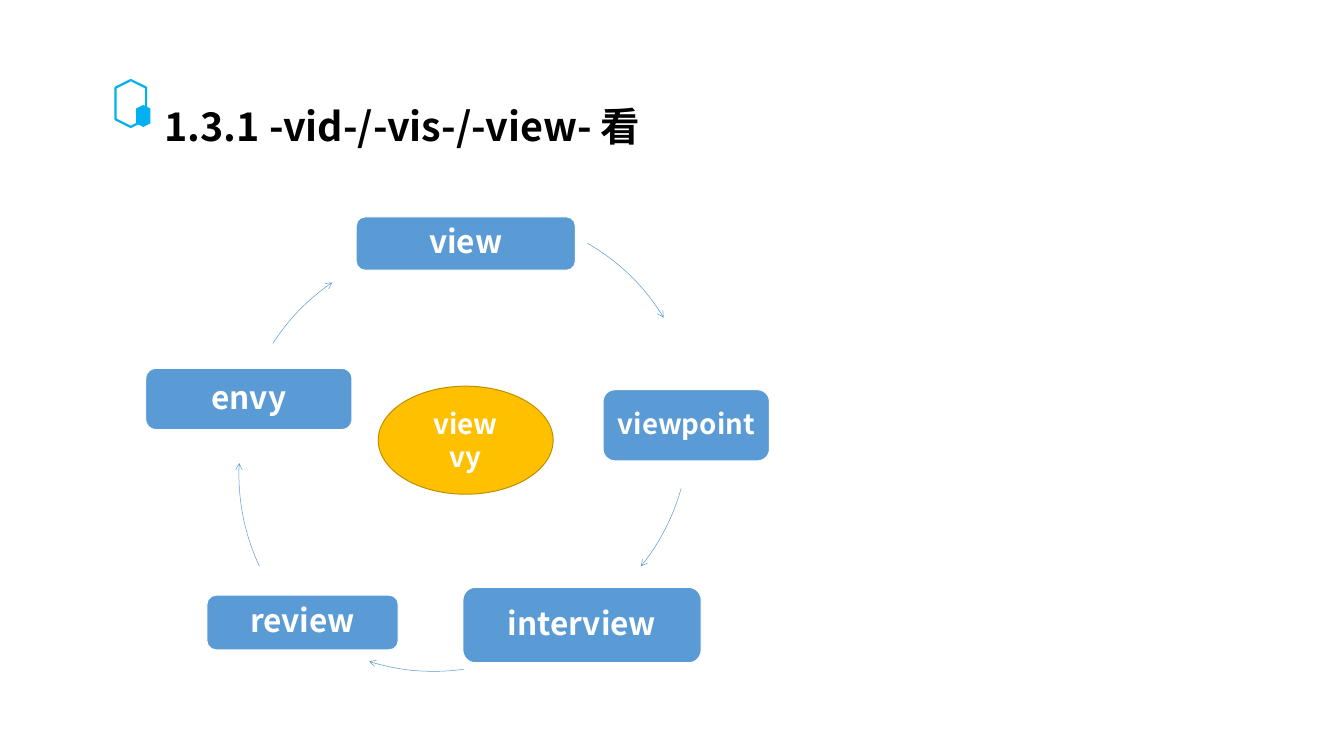
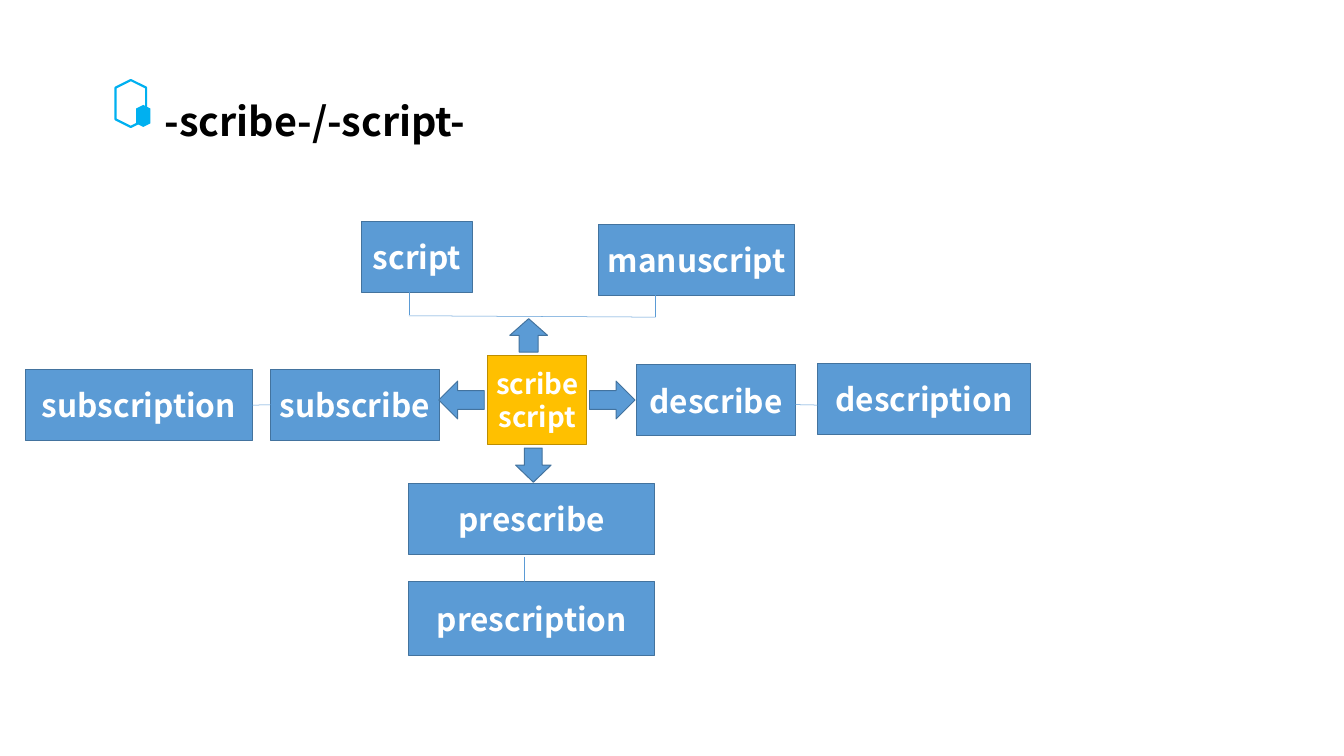
from typing import NamedTuple

from lxml.etree import SubElement
from pptx import Presentation
from pptx.dml.color import RGBColor
from pptx.enum.shapes import MSO_CONNECTOR as Connector, MSO_SHAPE as Preset
from pptx.enum.text import MSO_ANCHOR as Anchor, PP_ALIGN as Align
from pptx.oxml.ns import qn
from pptx.shapes.autoshape import Shape
from pptx.slide import Slide
from pptx.text.text import TextFrame
from pptx.util import Pt

FONT = "Noto Sans CJK SC"
WHITE = RGBColor(0xFF, 0xFF, 0xFF)
BLACK = RGBColor(0x00, 0x00, 0x00)
BLUE = RGBColor(0x5B, 0x9B, 0xD5)
DARK_BLUE = RGBColor(0x43, 0x73, 0x9E)
GOLD = RGBColor(0xFF, 0xC0, 0x00)
DARK_GOLD = RGBColor(0xBD, 0x8E, 0x00)
CYAN = RGBColor(0x00, 0xB0, 0xF0)

CYCLE_DIAMETER = 437.8
BOX_HEIGHT = 72


class Frame(NamedTuple):
    left: float
    top: float
    width: float
    height: float


class WordBox(NamedTuple):
    text: str
    frame: Frame
    size: float = 32


class CycleArrow(NamedTuple):
    """A clockwise arc on the cycle's circle, with angles in degrees."""
    left: float
    top: float
    start: float
    end: float


class BlockArrow(NamedTuple):
    frame: Frame
    rotation: float


class Link(NamedTuple):
    x1: float
    y1: float
    x2: float
    y2: float


CYCLE_WORDS = [
    WordBox("view", Frame(360.7, 219.6, 221.8, 54)),
    WordBox("viewpoint", Frame(610.6, 394.6, 168.5, 72), 28),
    WordBox("interview", Frame(468.7, 594.7, 241.2, 76.3)),
    WordBox("review", Frame(209.5, 602.6, 193.7, 55.4)),
    WordBox("envy", Frame(147.6, 373, 208.8, 61.9)),
]
CYCLE_ARROWS = [
    CycleArrow(266.4, 217, 300, 328.5),
    CycleArrow(259.9, 216.7, 15.6, 39),
    CycleArrow(220.3, 241.9, 81.9, 107.4),
    CycleArrow(241.9, 261.4, 154.9, 183),
    CycleArrow(241.2, 247.7, 212.9, 235.6),
]
VIEW_ROOT = WordBox("view\nvy", Frame(383, 391, 177.1, 109.4), 28)

SCRIBE_WORDS = [
    WordBox("prescription", Frame(414, 589, 249.1, 74.2)),
    WordBox("subscribe", Frame(273.6, 373.7, 171.4, BOX_HEIGHT)),
    WordBox("script", Frame(366.5, 223.9, 111.6, BOX_HEIGHT)),
    WordBox("manuscript", Frame(606.2, 227.5, 198.7, BOX_HEIGHT)),
    WordBox("prescribe", Frame(414, 489.6, 249.1, BOX_HEIGHT)),
    WordBox("description", Frame(828, 367.9, 215.3, BOX_HEIGHT)),
    WordBox("describe", Frame(644.4, 369.4, 161.3, BOX_HEIGHT)),
    WordBox("subscription", Frame(25.9, 374.4, 229.7, BOX_HEIGHT)),
]
SCRIBE_ROOT = WordBox("scribe\nscript", Frame(493.9, 360, 100.1, 90), 28)
SCRIBE_ARROWS = [
    BlockArrow(Frame(596.9, 385.9, 46.1, 38.2), 0),
    BlockArrow(Frame(518.4, 320.4, 33.8, 38.2), 270),
    BlockArrow(Frame(444.2, 385.9, 46.1, 38.2), 180),
    BlockArrow(Frame(522.7, 452.9, 34.6, 36), 90),
]
SCRIBE_LINKS = [
    Link(414, 319.7, 663.8, 321.1),
    Link(414.7, 293.8, 414.7, 319),
    Link(663.8, 295.9, 663.8, 321.1),
    Link(245.5, 410.4, 278.6, 409.7),
    Link(530.6, 563.8, 530.6, 601.2),
    Link(805, 409.7, 843.8, 410.4),
]


def write(text_frame: TextFrame, text: str, *, size: float, color: RGBColor,
          align: Align = Align.CENTER, spacing: float = 1.0) -> None:
    """Fill a text frame with bold text, one paragraph per line."""
    text_frame.word_wrap = True
    for index, line in enumerate(text.split("\n")):
        para = text_frame.add_paragraph() if index else text_frame.paragraphs[0]
        para.alignment = align
        para.line_spacing = spacing
        span = para.add_run()
        span.text = line
        span.font.name = FONT
        span.font.size = Pt(size)
        span.font.bold = True
        span.font.color.rgb = color
        SubElement(span.font._element, qn("a:ea")).set("typeface", FONT)


def add_preset(page: Slide, preset: Preset, frame: Frame, *,
               fill: RGBColor | None = None, line: RGBColor | None = None,
               line_width: float = 1, rotation: float = 0) -> Shape:
    shape = page.shapes.add_shape(preset, *map(Pt, frame))
    shape.shadow.inherit = False
    shape.rotation = rotation
    if fill is None:
        shape.fill.background()
    else:
        shape.fill.solid()
        shape.fill.fore_color.rgb = fill
    if line is None:
        shape.line.fill.background()
    else:
        shape.line.color.rgb = line
        shape.line.width = Pt(line_width)
    return shape


def add_word(page: Slide, word: WordBox, *, preset: Preset = Preset.RECTANGLE,
             fill: RGBColor = BLUE, line: RGBColor = DARK_BLUE,
             spacing: float = 1.0) -> None:
    box = add_preset(page, preset, word.frame, fill=fill, line=line)
    text_frame = box.text_frame
    text_frame.margin_left = text_frame.margin_right = Pt(3.6)
    text_frame.vertical_anchor = Anchor.MIDDLE
    write(text_frame, word.text, size=word.size, color=WHITE, spacing=spacing)


def add_cycle_arrow(page: Slide, arrow: CycleArrow) -> None:
    frame = Frame(arrow.left, arrow.top, CYCLE_DIAMETER, CYCLE_DIAMETER)
    arc = add_preset(page, Preset.ARC, frame, line=BLUE, line_width=0.5)
    # Angles are stored in 1/60000 degree, adjustments in 1/100000.
    arc.adjustments[0] = arrow.start * 0.6
    arc.adjustments[1] = arrow.end * 0.6
    outline = arc.element.spPr.find(qn("a:ln"))
    SubElement(outline, qn("a:tailEnd")).set("type", "arrow")


def add_link(page: Slide, link: Link) -> None:
    connector = page.shapes.add_connector(Connector.STRAIGHT, *map(Pt, link))
    connector.line.color.rgb = BLUE
    connector.line.width = Pt(0.5)
    SubElement(connector.element.spPr, qn("a:effectLst"))


def add_page(deck: Presentation, title: str, title_top: float) -> Slide:
    """Add a blank page with the hexagon mark and the title."""
    page = deck.slides.add_slide(deck.slide_layouts[6])
    add_preset(page, Preset.HEXAGON, Frame(108.7, 89.3, 47.5, 31),
               line=CYAN, line_width=2.25, rotation=90)
    add_preset(page, Preset.HEXAGON, Frame(133.9, 110.2, 22.3, 14.4),
               fill=CYAN, rotation=90)
    box = page.shapes.add_textbox(Pt(159.5), Pt(title_top), Pt(531), Pt(55.4))
    write(box.text_frame, title, size=40, color=BLACK, align=Align.LEFT)
    return page


def build_view_page(deck: Presentation) -> None:
    page = add_page(deck, "1.3.1 -vid-/-vis-/-view- 看", 100)
    for word, arrow in zip(CYCLE_WORDS, CYCLE_ARROWS):
        add_word(page, word, preset=Preset.ROUNDED_RECTANGLE, line=WHITE,
                 spacing=0.9)
        add_cycle_arrow(page, arrow)
    add_word(page, VIEW_ROOT, preset=Preset.FLOWCHART_CONNECTOR,
             fill=GOLD, line=DARK_GOLD)


def build_scribe_page(deck: Presentation) -> None:
    page = add_page(deck, "-scribe-/-script-", 95)
    for word in SCRIBE_WORDS:
        add_word(page, word)
    add_word(page, SCRIBE_ROOT, fill=GOLD, line=DARK_GOLD)
    for arrow in SCRIBE_ARROWS:
        add_preset(page, Preset.RIGHT_ARROW, arrow.frame, fill=BLUE,
                   line=DARK_BLUE, rotation=arrow.rotation)
    for link in SCRIBE_LINKS:
        add_link(page, link)


def main() -> None:
    deck = Presentation()
    deck.slide_width = Pt(1360.8)
    deck.slide_height = Pt(765.4)
    build_view_page(deck)
    build_scribe_page(deck)
    deck.save("out.pptx")


if __name__ == "__main__":
    main()
